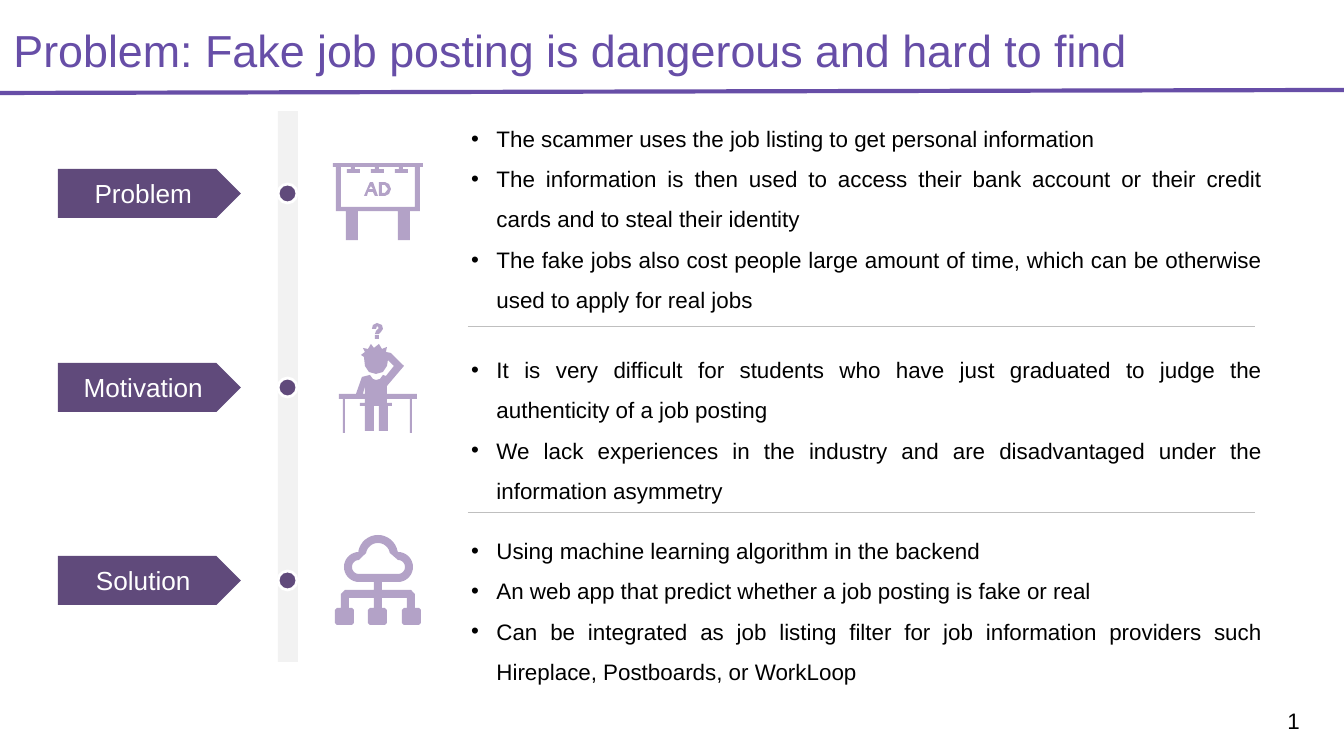
import math

from lxml import etree
from pptx import Presentation
from pptx import util as u
from pptx.dml.color import RGBColor
from pptx.enum import shapes as kinds, text as t
from pptx.oxml.ns import qn

# Content
TITLE = "Problem: Fake job posting is dangerous and hard to find"
PAGE_NUMBER = "1"
SECTIONS = [
    {"label": "Problem", "center": 193, "top": 105, "height": 216, "points": [
        "The scammer uses the job listing to get personal information",
        "The information is then used to access their bank account or their "
        "credit cards and to steal their identity",
        "The fake jobs also cost people large amount of time, which can be "
        "otherwise used to apply for real jobs"]},
    {"label": "Motivation", "center": 387, "top": 336, "height": 177, "points": [
        "It is very difficult for students who have just graduated to judge "
        "the authenticity of a job posting",
        "We lack experiences in the industry and are disadvantaged under the "
        "information asymmetry"]},
    {"label": "Solution", "center": 580, "top": 517, "height": 175, "points": [
        "Using machine learning algorithm in the backend",
        "An web app that predict whether a job posting is fake or real",
        "Can be integrated as job listing filter for job information providers "
        "such Hireplace, Postboards, or WorkLoop"]},
]
DIVIDERS = [326, 512]
COLORS = {"title": "674EA7", "plate": "604A7B", "icon": "B3A2C7",
          "track": "F2F2F2", "divider": "BFBFBF", "white": "FFFFFF", "black": "000000"}
PX = 914400 / 134.4


# Icon outlines in px; a contour inside another one is a hole
def box(left, top, right, bottom):
    return [(left, top), (right, top), (right, bottom), (left, bottom)]


def arc(cx, cy, r, start, end):
    return [(cx + r * math.cos(math.radians(a)), cy + r * math.sin(math.radians(a)))
            for a in range(start, end + 1, 10)]


def cloud(inset):
    return (arc(359, 567, 15 - inset, 90, 270) + arc(378, 555, 20 - inset, 190, 350)
            + arc(398, 567, 15 - inset, 270, 450))


BILLBOARD = [
    box(333, 163, 423, 167), box(336, 167, 420, 211), box(341, 167, 415, 207),
    box(346, 211, 358, 240), box(398, 211, 410, 240),
    [(364, 196), (370, 182), (373, 182), (378, 196), (375, 196), (373, 192),
     (368, 192), (367, 196)],
    [(371, 186), (369, 189), (373, 189)],
    [(379, 182), (385, 182), (389, 184), (391, 189), (389, 194), (385, 196), (379, 196)],
    [(382, 185), (385, 185), (388, 189), (385, 193), (382, 193)],
]
for lamp in (353, 377, 401):
    BILLBOARD += [box(lamp - 2, 167, lamp + 2, 169), box(lamp - 6, 169, lamp + 7, 173)]

STUDENT = [
    [(379, 344), (382, 349), (387, 347), (386, 352), (391, 353), (404, 366), (387, 386),
     (387, 394), (417, 394), (417, 399), (412, 399), (412, 433), (410, 433), (410, 399),
     (387, 399), (387, 403), (392, 403), (392, 406), (388, 406), (388, 431), (379, 431),
     (379, 406), (374, 406), (374, 431), (365, 431), (365, 406), (360, 406), (360, 403),
     (365, 403), (365, 399), (345, 399), (345, 433), (343, 433), (343, 399), (339, 399),
     (339, 394), (356, 394), (362, 377), (370, 375), (373, 379), (376, 380), (380, 379),
     (383, 375), (386, 376), (394, 366), (388, 360), (387, 366), (383, 372), (376, 374),
     (369, 372), (365, 366), (364, 357), (361, 355), (365, 352), (363, 348), (368, 349),
     (371, 344), (374, 348)],
    [(365, 386), (363, 394), (365, 394)],
    [(372, 329), (373, 325), (377, 323), (382, 325), (383, 329), (381, 332), (379, 334),
     (375, 334), (376, 331), (379, 328), (377, 326), (376, 329)],
    box(375, 335, 379, 339),
]

NETWORK = [
    cloud(0), cloud(8),
    [(374, 582), (382, 582), (382, 590), (411, 590), (415, 594), (415, 608), (407, 608),
     (407, 598), (382, 598), (382, 608), (374, 608), (374, 598), (349, 598), (349, 608),
     (341, 608), (341, 594), (345, 590), (374, 590)],
]
for x in (335, 368, 402):
    NETWORK.append([(x + 2, 608), (x + 17, 608), (x + 19, 610), (x + 19, 623),
                    (x + 17, 625), (x + 2, 625), (x, 623), (x, 610)])


# Helpers
def px(*values):
    return [u.Emu(round(v * PX)) for v in values]


def color(name):
    return RGBColor.from_string(COLORS[name])


def apply(target, formats):
    for name, value in formats.items():
        setattr(target, name, value)


def write(paragraph, words, size, shade, align):
    run = paragraph.add_run()
    run.text = words
    apply(run.font, {"name": "Arial", "size": u.Pt(size)})
    run.font.color.rgb = color(shade)
    paragraph.alignment = align


def paint(shape, fill, outline=None):
    shape.shadow.inherit = False
    shape.fill.solid()
    shape.fill.fore_color.rgb = color(fill)
    if outline:
        shape.line.color.rgb = color(outline)
        shape.line.width = u.Pt(1.5)
    else:
        shape.line.fill.background()
    return shape


def rule(x1, y1, x2, y2, shade, width):
    line = slide.shapes.add_connector(kinds.MSO_CONNECTOR.STRAIGHT, *px(x1, y1, x2, y2))
    line.line.color.rgb = color(shade)
    line.line.width = u.Pt(width)
    etree.SubElement(line._element.spPr, qn("a:effectLst"))


def add_bullet(paragraph):
    props = paragraph._p.get_or_add_pPr()
    apply_indent = {"marL": 171450, "indent": -171450}
    for name, value in apply_indent.items():
        props.set(name, str(value))
    etree.SubElement(props, qn("a:buFont")).set("typeface", "Arial")
    etree.SubElement(props, qn("a:buChar")).set("char", "•")


def draw_icon(contours):
    fine = [[(x * 10, y * 10) for x, y in contour] for contour in contours]
    builder = slide.shapes.build_freeform(*fine[0][0], scale=PX / 10)
    for contour in fine:
        if contour is not fine[0]:
            builder.move_to(*contour[0])
        builder.add_line_segments(contour[1:], close=True)
    paint(builder.convert_to_shape(), "icon")


prs = Presentation()
prs.slide_width, prs.slide_height = px(1344, 756)
slide = prs.slides.add_slide(prs.slide_layouts[5])

# Title and its rule
title = slide.shapes.title
apply(title, dict(zip(("left", "top", "width", "height"), px(0, 9, 1339, 79))))
inset = u.Inches(0.1)
apply(title.text_frame, {
    "word_wrap": True, "auto_size": t.MSO_AUTO_SIZE.NONE,
    "vertical_anchor": t.MSO_ANCHOR.TOP, "margin_left": inset, "margin_right": inset,
    "margin_top": inset, "margin_bottom": inset})
write(title.text_frame.paragraphs[0], TITLE, 24, "title", t.PP_ALIGN.LEFT)
rule(-1, 93, 1348, 90, "title", 2.25)

# Timeline track and dividers
paint(slide.shapes.add_shape(kinds.MSO_SHAPE.RECTANGLE, *px(278, 111, 20, 551)), "track")
for y in DIVIDERS:
    rule(468, y, 1255, y, "divider", 0.25)

# Sections: dot, label plate, points and icon
for section, icon in zip(SECTIONS, (BILLBOARD, STUDENT, NETWORK)):
    middle = section["center"]
    dot = slide.shapes.add_shape(kinds.MSO_SHAPE.OVAL, *px(278, middle - 9, 19, 19))
    paint(dot, "plate", "white")
    plate = slide.shapes.add_shape(kinds.MSO_SHAPE.PENTAGON, *px(58, middle - 24, 183, 49))
    paint(plate, "plate").text_frame.vertical_anchor = t.MSO_ANCHOR.MIDDLE
    write(plate.text_frame.paragraphs[0], section["label"], 14, "white", t.PP_ALIGN.CENTER)

    points = slide.shapes.add_textbox(*px(458, section["top"], 818, section["height"]))
    frame = points.text_frame
    frame.word_wrap = True
    for i, words in enumerate(section["points"]):
        paragraph = frame.add_paragraph() if i else frame.paragraphs[0]
        write(paragraph, words, 12, "black", t.PP_ALIGN.JUSTIFY)
        paragraph.line_spacing = 1.5
        add_bullet(paragraph)
    draw_icon(icon)

# Page number
number = slide.shapes.add_textbox(*px(1226, 700, 87, 41)).text_frame
apply(number, {"word_wrap": True, "vertical_anchor": t.MSO_ANCHOR.MIDDLE})
write(number.paragraphs[0], PAGE_NUMBER, 12, "black", t.PP_ALIGN.RIGHT)

prs.save("out.pptx")
